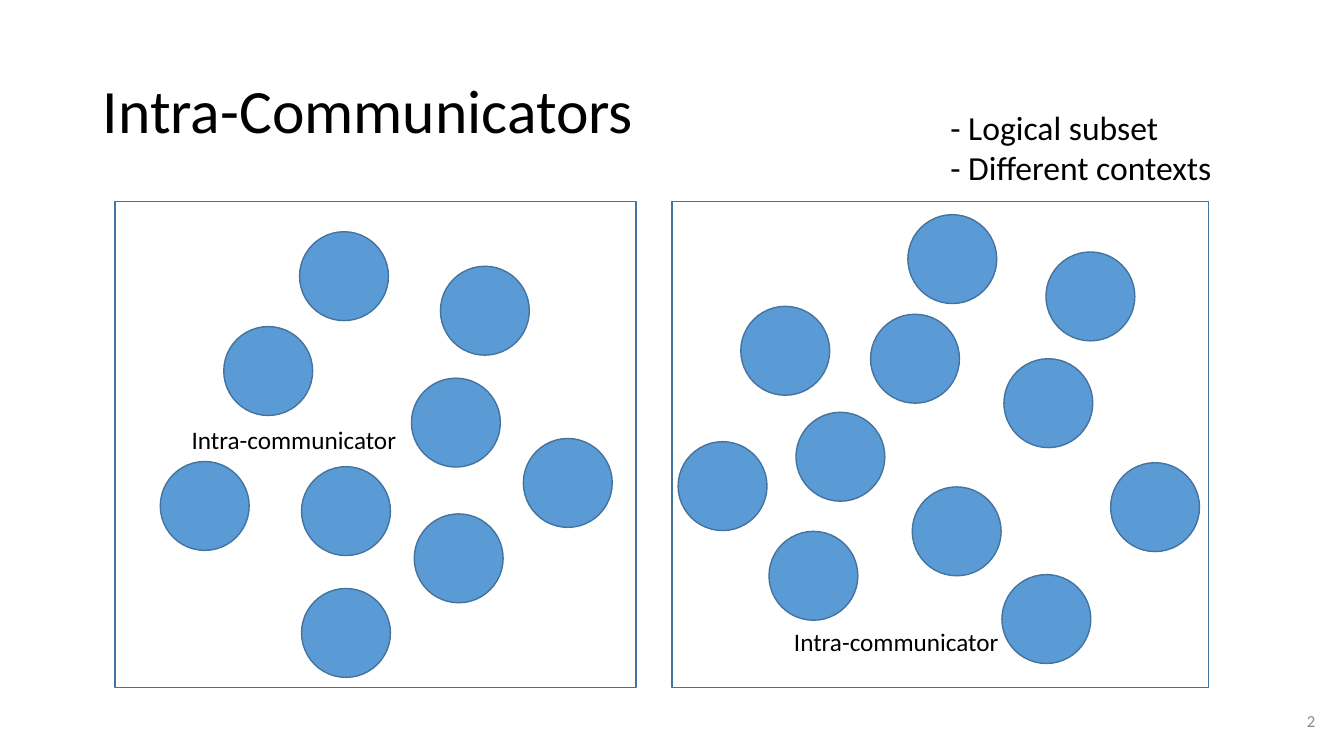
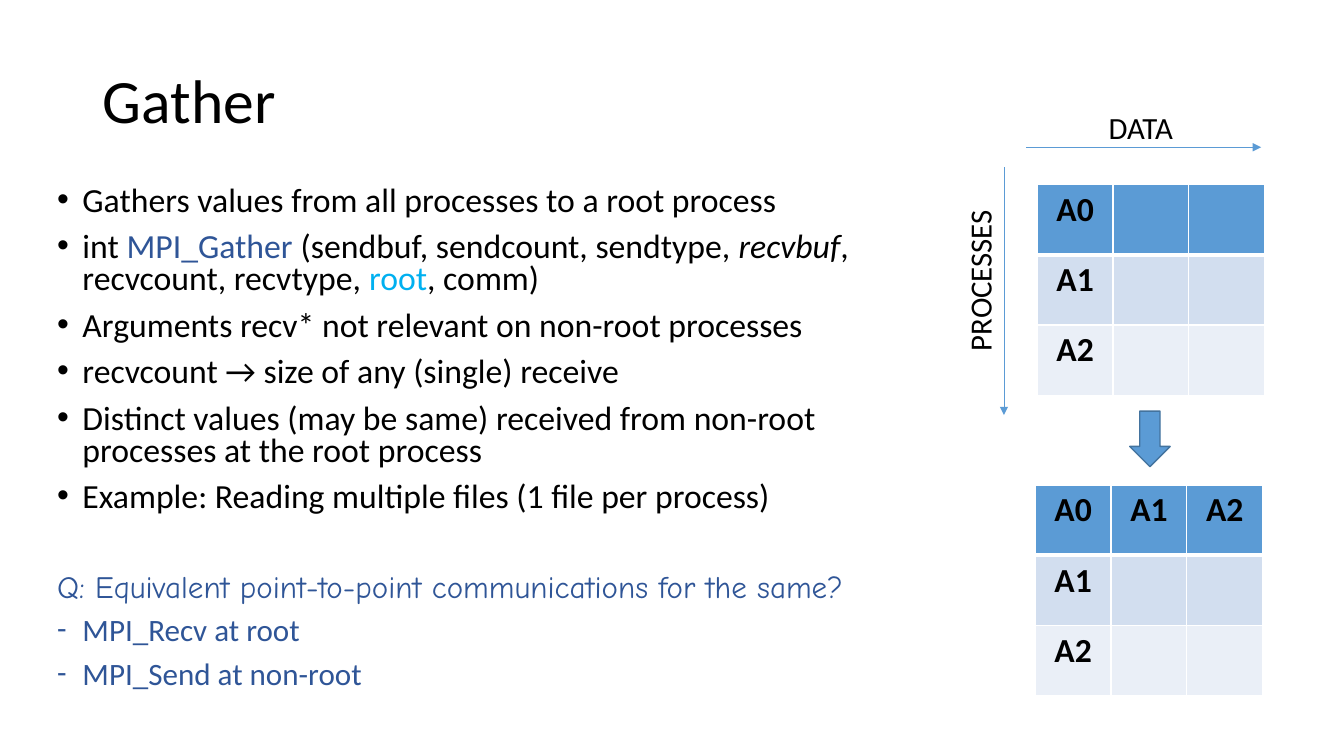
import pptx
import pptx.util
import pptx.dml.color
import pptx.enum.shapes
import pptx.enum.text
import pptx.oxml.ns
import lxml.etree

Cm = pptx.util.Cm
Pt = pptx.util.Pt
KIND = pptx.enum.shapes.MSO_SHAPE
ALIGN = pptx.enum.text.PP_ALIGN
ANCHOR = pptx.enum.text.MSO_ANCHOR

HUES = {
    "ink": "000000", "page": "FFFFFF", "blue": "5B9BD5", "edge": "43739E",
    "navy": "2F5597", "sky": "00B0F0", "gray": "8C8C8C",
    "band": "D2DEEF", "pale": "EAEFF7",
}
FONT = "Calibri"
DOT = 2.24
LEFT = [(2.74, 3.15), (7.47, 4.45), (4.7, 6.68), (4.65, 0.76), (10.29, 5.97),
        (8.2, 1.63), (7.54, 7.87), (4.7, 9.75), (1.14, 6.55)]
RIGHT = [(2.44, 8.31), (1.73, 2.64), (3.12, 5.31), (6.05, 7.19), (5, 2.84),
         (5.94, 0.33), (9.42, 1.27), (8.36, 3.96), (11.05, 6.58),
         (8.31, 9.4), (0.15, 6.05)]
POINTS = [
    "Gathers values from all processes to a root process",
    ["int ", ("MPI_Gather", {"hue": "navy"}), " (sendbuf, sendcount, sendtype, ",
     ("recvbuf", {"slant": True}), ", recvcount, recvtype, ",
     ("root", {"hue": "sky"}), ", comm)"],
    "Arguments recv* not relevant on non-root processes",
    "recvcount → size of any (single) receive",
    "Distinct values (may be same) received from non-root processes at the root process",
    "Example: Reading multiple files (1 file per process)",
]


def color(name):
    """Return a named colour."""
    return pptx.dml.color.RGBColor.from_string(HUES[name])


def node(top, tag, **attrs):
    """Add a drawing element under another and return it."""
    return lxml.etree.SubElement(top, pptx.oxml.ns.qn(tag), attrs)


def style(run, size=18, hue="ink", font=FONT, bold=False, slant=False):
    """Format one run."""
    run.font.size = Pt(size)
    run.font.name = font
    run.font.bold = bold
    run.font.italic = slant
    run.font.color.rgb = color(hue)


def write(frame, text, align=None, lead=None, gap=None, mark=None, **look):
    """Add a paragraph of plain text or of runs with their own format."""
    para = frame.paragraphs[0]
    if para.runs:
        para = frame.add_paragraph()
        if gap:
            para.space_before = Pt(gap)
    para.alignment = align
    if lead:
        para.line_spacing = lead
    if mark:
        props = para._p.get_or_add_pPr()
        props.set("marL", str(Cm(0.64)))
        props.set("indent", str(-Cm(0.64)))
        node(props, "a:buFont", typeface="Arial" if mark == "•" else FONT)
        node(props, "a:buChar", char=mark)
    for part in [text] if isinstance(text, str) else text:
        words, extra = (part, {}) if isinstance(part, str) else part
        run = para.add_run()
        run.text = words
        style(run, **{**look, **extra})


def area(slide, box, wrap=True, anchor=ANCHOR.TOP, turn=0):
    """Add a text box and return its frame."""
    shape = slide.shapes.add_textbox(*map(Cm, box))
    shape.rotation = turn
    frame = shape.text_frame
    frame.word_wrap = wrap
    frame.vertical_anchor = anchor
    return frame


def title(slide, text, top, tall):
    """Write the slide title."""
    frame = area(slide, (2.34, top, 29.21, tall), anchor=ANCHOR.MIDDLE)
    write(frame, text, size=44, lead=0.9)


def number(slide, text):
    """Write the page number at the lower right."""
    frame = area(slide, (23.93, 17.65, 9.47, 1.02), anchor=ANCHOR.MIDDLE)
    write(frame, text, size=12, hue="gray", align=ALIGN.RIGHT)


def draw(slide, kind, box, fill=None):
    """Add an outlined preset shape."""
    shape = slide.shapes.add_shape(kind, *map(Cm, box))
    shape.shadow.inherit = False
    if fill:
        shape.fill.solid()
        shape.fill.fore_color.rgb = color(fill)
    else:
        shape.fill.background()
    shape.line.color.rgb = color("edge")
    shape.line.width = Pt(1)


def arrow(slide, *ends):
    """Add a thin line with an arrowhead at its end."""
    line = slide.shapes.add_connector(
        pptx.enum.shapes.MSO_CONNECTOR.STRAIGHT, *map(Cm, ends))
    line.line.color.rgb = color("blue")
    line.line.width = Pt(0.5)
    node(line.line._get_or_add_ln(), "a:tailEnd", type="triangle")
    node(line._element.spPr, "a:effectLst")


def panel(slide, box, dots, label):
    """Frame a group of processes and label it."""
    left, top = box[:2]
    draw(slide, KIND.RECTANGLE, box)
    for x, y in dots:
        draw(slide, KIND.OVAL, (left + x, top + y, DOT, DOT), "blue")
    frame = area(slide, (left + label[0], top + label[1], 5.72, 1.02), wrap=False)
    write(frame, "Intra-communicator")


def border(cell, head):
    """Give a cell white borders, thicker below the head row."""
    props = cell._tc.get_or_add_tcPr()
    for side in "LRTB":
        wide = 3 if head and side == "B" else 1
        line = node(props, f"a:ln{side}", w=str(Pt(wide)))
        node(node(line, "a:solidFill"), "a:srgbClr", val=HUES["page"])


def grid(slide, left, top, rows):
    """Add a table of process data."""
    count = len(rows)
    step, tall = 1.91, 1.77
    table = slide.shapes.add_table(count, count, *map(
        Cm, (left, top, step * count, tall * count))).table
    table.first_row = table.horz_banding = False
    for i, (row, fill) in enumerate(zip(rows, ("blue", "band", "pale"))):
        table.rows[i].height = Cm(tall)
        table.columns[i].width = Cm(step)
        for j, text in enumerate(row):
            cell = table.cell(i, j)
            border(cell, i == 0)
            cell.fill.solid()
            cell.fill.fore_color.rgb = color(fill)
            if text:
                write(cell.text_frame, text, size=24, bold=True, align=ALIGN.CENTER)


def chart(slide, x, y):
    """Draw the data before and after the gather, with its axes."""
    write(area(slide, (x + 2.39, y, 2.16, 1.19), wrap=False), "DATA", size=22)
    arrow(slide, x + 0.56, y + 1.09, x + 6.48, y + 1.09)
    write(area(slide, (x - 2.67, y + 3.83, 4.11, 1.19), wrap=False, turn=270),
          "PROCESSES", size=22)
    arrow(slide, x, y + 1.6, x, y + 7.84)
    tail = [("A1", "", ""), ("A2", "", "")]
    grid(slide, x + 0.84, y + 2.03, [("A0", "", "")] + tail)
    draw(slide, KIND.DOWN_ARROW, (x + 3.17, y + 7.74, 1.02, 1.4), "blue")
    grid(slide, x + 0.79, y + 9.6, [("A0", "A1", "A2")] + tail)


def body(slide, box):
    """Write the bullets, the question and its answers."""
    frame = area(slide, box)
    for text in POINTS:
        write(frame, text, size=24.1, lead=0.8, gap=10, mark="•")
    reply = {"size": 22.2, "hue": "navy", "lead": 0.8}
    write(frame, "Q: Equivalent point-to-point communications for the same?",
          gap=42, font="Comic Neue", **reply)
    for text in ("MPI_Recv at root", "MPI_Send at non-root"):
        write(frame, text, gap=10, mark="-", **reply)


def intra(slide):
    """Build the slide on communicators."""
    title(slide, "Intra-Communicators", 1.02, 3.68)
    frame = area(slide, (23.7, 2.57, 7.3, 2.31))
    for text in ("- Logical subset", "- Different contexts"):
        write(frame, text, size=24)
    panel(slide, (2.9, 5.08, 13.13, 12.24), LEFT, (1.68, 5.49))
    panel(slide, (16.94, 5.08, 13.51, 12.24), RIGHT, (2.82, 10.59))
    number(slide, "2")


def gather(slide):
    """Build the slide on the gather call."""
    title(slide, "Gather", 0.66, 3.91)
    body(slide, (1.19, 4.57, 22.05, 14))
    chart(slide, 25.3, 2.62)


def main():
    """Build and save the deck."""
    deck = pptx.Presentation()
    deck.slide_width, deck.slide_height = Cm(33.87), Cm(19.05)
    for build in (intra, gather):
        build(deck.slides.add_slide(deck.slide_layouts[6]))
    deck.save("out.pptx")


if __name__ == "__main__":
    main()
